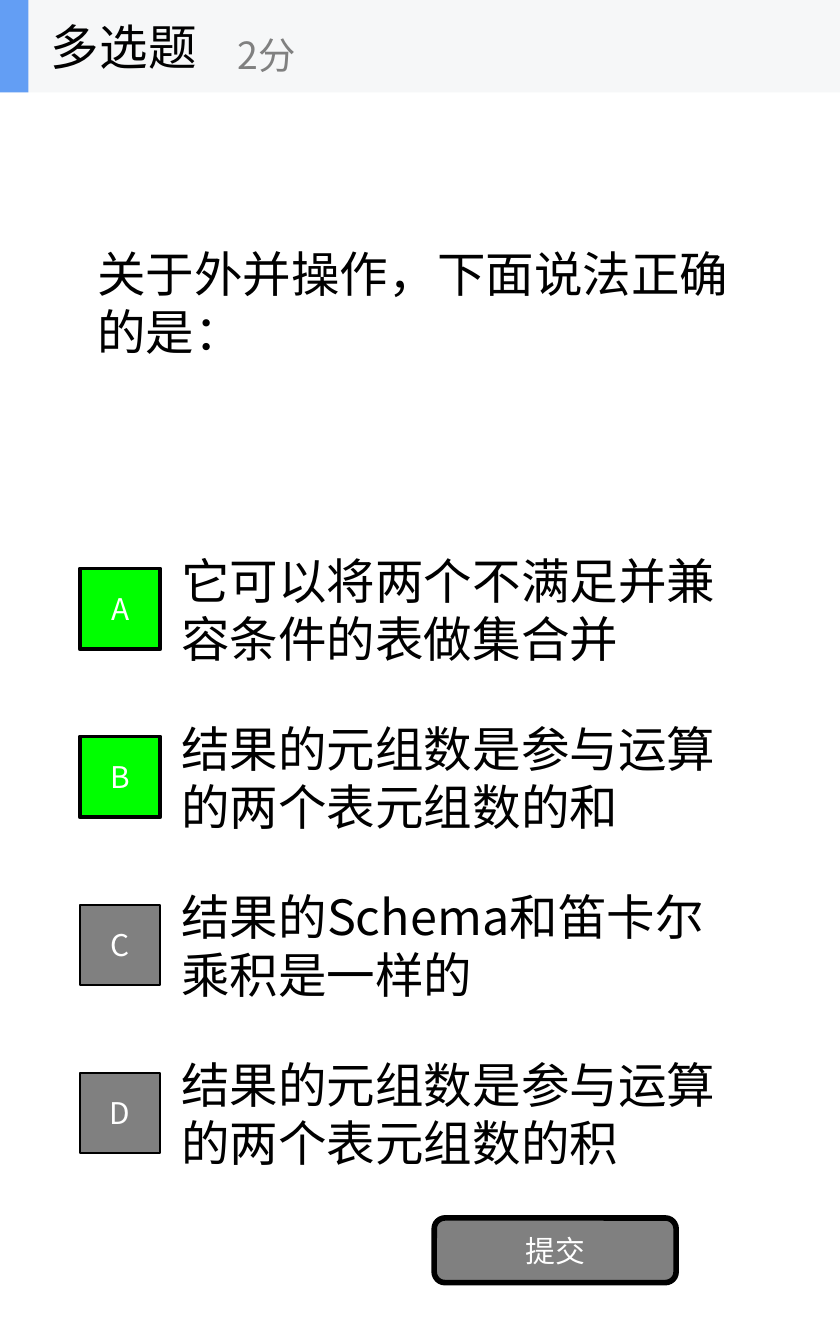
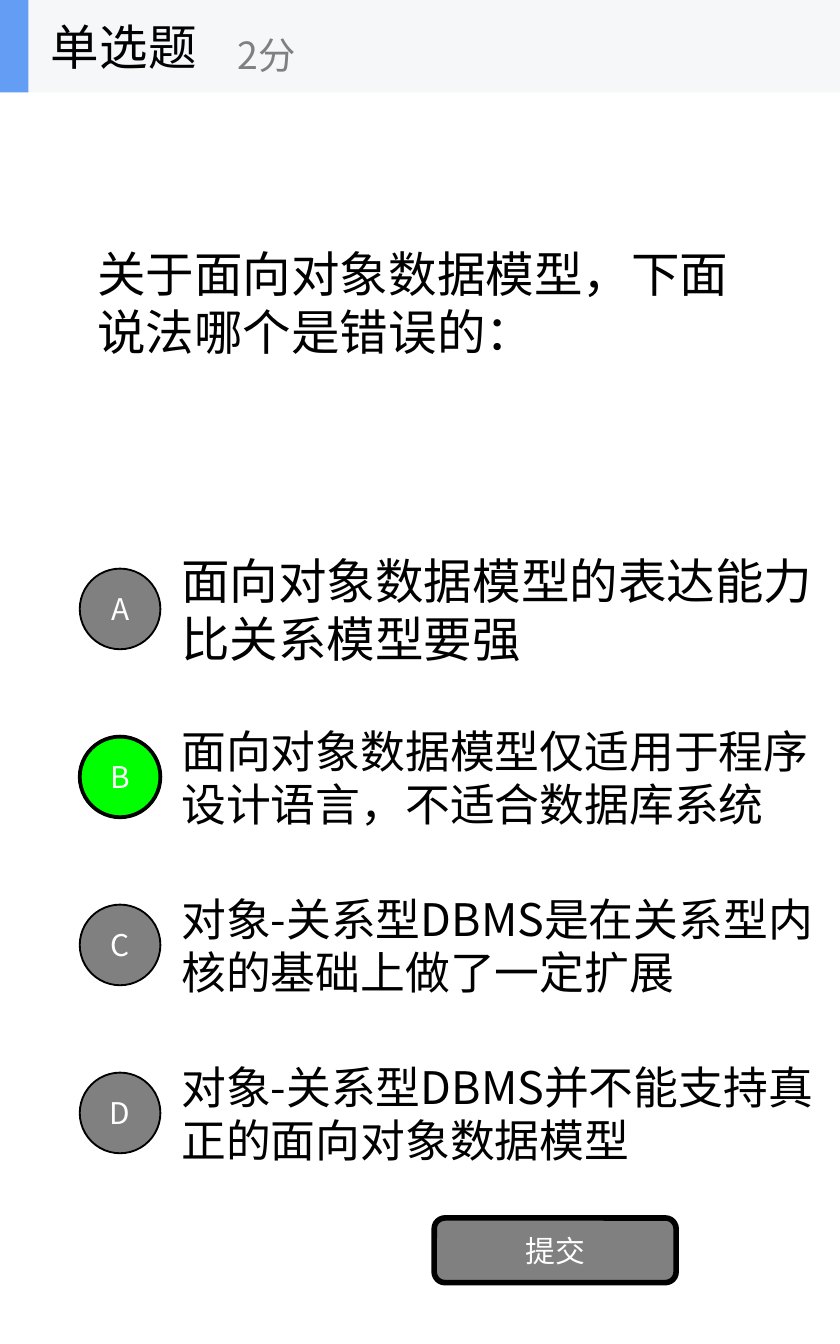
from lxml.etree import SubElement
from pptx import Presentation
from pptx.dml.color import RGBColor
from pptx.enum.shapes import MSO_SHAPE
from pptx.enum.text import MSO_ANCHOR, PP_ALIGN
from pptx.oxml.ns import qn
from pptx.util import Inches, Pt

FONT = "Noto Sans CJK SC"
INK = {"band": "F6F7F8", "bar": "639EF4", "black": "000000",
       "gray": "808080", "right": "00FF00", "white": "FFFFFF"}
WIDE, HIGH = 6.25, 10
UNIT = WIDE / 10
PITCH = 2

QUIZ = [
    {"kind": "多选题", "ask": "关于外并操作，下面说法正确的是：",
     "mark": MSO_SHAPE.RECTANGLE, "right": "AB", "cols": 7,
     "picks": [("它可以将两个不满足并兼容条件的表做集合并", 26),
               ("结果的元组数是参与运算的两个表元组数的和", 26),
               ("结果的Schema和笛卡尔乘积是一样的", 26),
               ("结果的元组数是参与运算的两个表元组数的积", 26)]},
    {"kind": "单选题", "ask": "关于面向对象数据模型，下面说法哪个是错误的：",
     "mark": MSO_SHAPE.OVAL, "right": "B", "cols": 7.89,
     "picks": [("面向对象数据模型的表达能力比关系模型要强", 26),
               ("面向对象数据模型仅适用于程序设计语言，不适合数据库系统", 24),
               ("对象-关系型DBMS是在关系型内核的基础上做了一定扩展", 24),
               ("对象-关系型DBMS并不能支持真正的面向对象数据模型", 24)]},
]


def place(box):
    return [Inches(n * UNIT) for n in box]


def write(shape, text, size=26, color="black", align=PP_ALIGN.LEFT, wrap=True):
    frame = shape.text_frame
    frame.word_wrap = wrap
    frame.vertical_anchor = MSO_ANCHOR.MIDDLE
    para = frame.paragraphs[0]
    para.alignment = align
    run = para.add_run()
    run.text = text
    font = run.font
    font.size = Pt(size)
    font.color.rgb = RGBColor.from_string(INK[color])
    font.name = FONT
    SubElement(run._r.get_or_add_rPr(), qn("a:ea"), typeface=FONT)


def label(shapes, box, text, **style):
    write(shapes.add_textbox(*place(box)), text, **style)


def block(shapes, kind, box, fill, line=0):
    shape = shapes.add_shape(kind, *place(box))
    shape.shadow.inherit = False
    shape.fill.solid()
    shape.fill.fore_color.rgb = RGBColor.from_string(INK[fill])
    if line:
        shape.line.color.rgb = RGBColor.from_string(INK["black"])
        shape.line.width = Pt(line)
    else:
        shape.line.fill.background()
    return shape


def key(shapes, kind, box, text, fill, line):
    shape = block(shapes, kind, box, fill, line)
    write(shape, text, size=16, color="white", align=PP_ALIGN.CENTER)


def header(slide, box, kind):
    x, y, w, h = box
    shapes = slide.shapes.add_group_shape().shapes
    block(shapes, MSO_SHAPE.RECTANGLE, box, "band")
    block(shapes, MSO_SHAPE.RECTANGLE, (x, y, 0.34, h), "bar")
    label(shapes, (x + 0.45, y, w / 3, h), kind, wrap=False)
    label(shapes, (x + 2.67, y + 0.2, 4, h - 0.2), "2分",
          size=20, color="gray", wrap=False)


def choices(slide, box, quiz):
    x, y, w, h = box
    side = 0.96
    for i, (text, size) in enumerate(quiz["picks"]):
        label(slide.shapes, (x, y + i * PITCH, w, h), text, size=size)
    for i, name in enumerate("ABCD"):
        good = name in quiz["right"]
        spot = (x - 1.05, y + i * PITCH + (h - side) / 2, side, side)
        key(slide.shapes, quiz["mark"], spot, name,
            "right" if good else "gray", 2 if good else 1)


def page(deck, quiz):
    slide = deck.slides.add_slide(deck.slide_layouts[6])
    label(slide.shapes, (1, 1.1, 8, 5), quiz["ask"])
    choices(slide, (2, 6.5, quiz["cols"], 1.5), quiz)
    key(slide.shapes, MSO_SHAPE.ROUNDED_RECTANGLE,
        (5.17, 14.5, 2.88, 0.77), "提交", "gray", 3)
    header(slide, (0, 0, 10, 1.1), quiz["kind"])


def main():
    deck = Presentation()
    deck.slide_width, deck.slide_height = Inches(WIDE), Inches(HIGH)
    for quiz in QUIZ:
        page(deck, quiz)
    deck.save("out.pptx")


if __name__ == "__main__":
    main()
